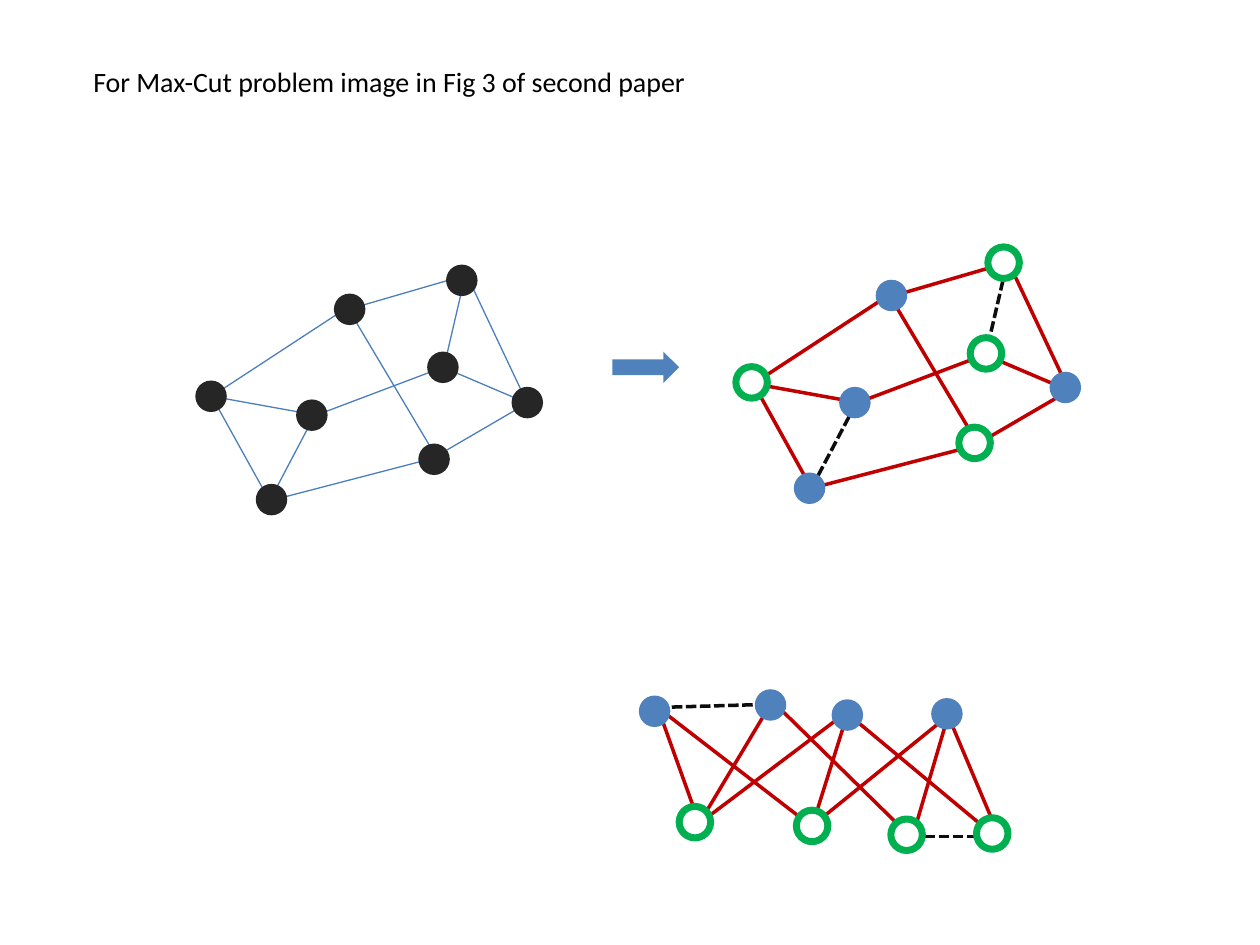
from lxml.etree import SubElement
from pptx import Presentation
from pptx.dml.color import RGBColor
from pptx.enum.dml import MSO_LINE
from pptx.enum.shapes import MSO_CONNECTOR, MSO_SHAPE
from pptx.enum.text import MSO_ANCHOR, PP_ALIGN
from pptx.oxml.ns import qn
from pptx.util import Inches, Pt

BLUE, GREEN, WHITE, DARK = "4F81BD", "00B050", "FFFFFF", "262626"
THIN_BLUE, CUT_RED, UNCUT_BLACK = "4B7EBC", "C00000", "0D0D0D"

NODE_SIZE = 0.25
ANCHOR_SIZE = 0.05
# Points where edges meet an anchor box, as fractions of its size
SIDES = {"L": (0, 0.5), "R": (1, 0.5), "T": (0.5, 0), "B": (0.5, 1)}
# Each end of an edge is a node letter and a side of its anchor box
EDGES = ["aR bL", "bR cL", "dB cR", "hB cB", "dB hR", "gB bB",
         "gR dB", "eR gB", "eR aR", "eR fB", "fR aR", "hL fR"]
UNCUT_EDGES = {"hB cB", "eR fB"}
GREEN_NODES = "acgh"

# Top left corners of the anchor boxes and node circles, nodes a to h
PLAIN_ANCHORS = [(1.63, 3.12), (2.75, 2.42), (3.66, 2.17), (4.16, 3.15),
                 (2.09, 3.95), (2.46, 3.27), (3.44, 3.58), (3.49, 2.9)]
PLAIN_NODES = [(1.55, 3.02), (2.65, 2.33), (3.54, 2.1), (4.06, 3.07),
               (2.03, 3.84), (2.35, 3.17), (3.32, 3.52), (3.39, 2.79)]
CUT_ANCHORS = [(x + 4.3, y - 0.1) for x, y in PLAIN_ANCHORS]
CUT_NODES = [(5.84, 2.91), (6.95, 2.22), (7.84, 1.96), (8.33, 2.95),
             (6.3, 3.75), (6.66, 3.07), (7.61, 3.39), (7.7, 2.68)]
BIPARTITE_ANCHORS = [(5.5, 6.51), (6.69, 5.65), (7.87, 6.59), (7.5, 5.63),
                     (5.17, 5.59), (6.08, 5.54), (6.42, 6.51), (7.2, 6.59)]
BIPARTITE_NODES = [(5.39, 6.4), (6.6, 5.55), (7.75, 6.49), (7.39, 5.54),
                   (5.07, 5.52), (5.99, 5.47), (6.32, 6.43), (7.07, 6.5)]


def rgb(color):
    return RGBColor.from_string(color)


def add_title(slide, text):
    title = slide.shapes.title
    title.left, title.top = Inches(0.64), Inches(0.46)
    title.width, title.height = Inches(5.17), Inches(0.37)
    title.text_frame.vertical_anchor = MSO_ANCHOR.MIDDLE
    paragraph = title.text_frame.paragraphs[0]
    paragraph.text = text
    paragraph.alignment = PP_ALIGN.LEFT
    paragraph.font.name = "Calibri"
    paragraph.font.size = Pt(16)
    paragraph.font.color.rgb = rgb("000000")


def add_filled_shape(slide, kind, left, top, width, height, fill, outline=None):
    shape = slide.shapes.add_shape(
        kind, Inches(left), Inches(top), Inches(width), Inches(height))
    shape.shadow.inherit = False
    shape.fill.solid()
    shape.fill.fore_color.rgb = rgb(fill)
    if outline:
        shape.line.color.rgb = rgb(outline)
        shape.line.width = Pt(4)
    else:
        shape.line.fill.background()


def add_edge(group, start, end, color, width, dashed):
    edge = group.shapes.add_connector(
        MSO_CONNECTOR.STRAIGHT, *(Inches(value) for value in start + end))
    edge.line.color.rgb = rgb(color)
    edge.line.width = Pt(width)
    if dashed:
        edge.line.dash_style = MSO_LINE.SQUARE_DOT
    SubElement(edge._element.spPr, qn("a:effectLst"))


def add_graph(slide, anchors, nodes, cut):
    """Draw the edges, then the nodes; cut colours them by partition."""
    anchor_of = dict(zip("abcdefgh", anchors))

    def edge_point(end):
        node, side = end
        return tuple(corner + ANCHOR_SIZE * fraction
                     for corner, fraction in zip(anchor_of[node], SIDES[side]))

    group = slide.shapes.add_group_shape()
    for edge in EDGES:
        start, end = map(edge_point, edge.split())
        uncut = cut and edge in UNCUT_EDGES
        if cut:
            color, width = (UNCUT_BLACK if uncut else CUT_RED), 2
        else:
            color, width = THIN_BLUE, 0.75
        add_edge(group, start, end, color, width, uncut)

    for node, (left, top) in zip("abcdefgh", nodes):
        if not cut:
            fill, outline = DARK, None
        elif node in GREEN_NODES:
            fill, outline = WHITE, GREEN
        else:
            fill, outline = BLUE, None
        add_filled_shape(slide, MSO_SHAPE.OVAL, left, top,
                         NODE_SIZE, NODE_SIZE, fill, outline)


def main():
    presentation = Presentation()
    presentation.slide_width, presentation.slide_height = Inches(10), Inches(7.5)
    slide = presentation.slides.add_slide(presentation.slide_layouts[5])
    add_title(slide, "For Max-Cut problem image in Fig 3 of second paper")
    add_graph(slide, CUT_ANCHORS, CUT_NODES, cut=True)
    add_graph(slide, PLAIN_ANCHORS, PLAIN_NODES, cut=False)
    add_graph(slide, BIPARTITE_ANCHORS, BIPARTITE_NODES, cut=True)
    add_filled_shape(slide, MSO_SHAPE.RIGHT_ARROW, 4.86, 2.79, 0.53, 0.25, BLUE)
    presentation.save("out.pptx")


if __name__ == "__main__":
    main()
